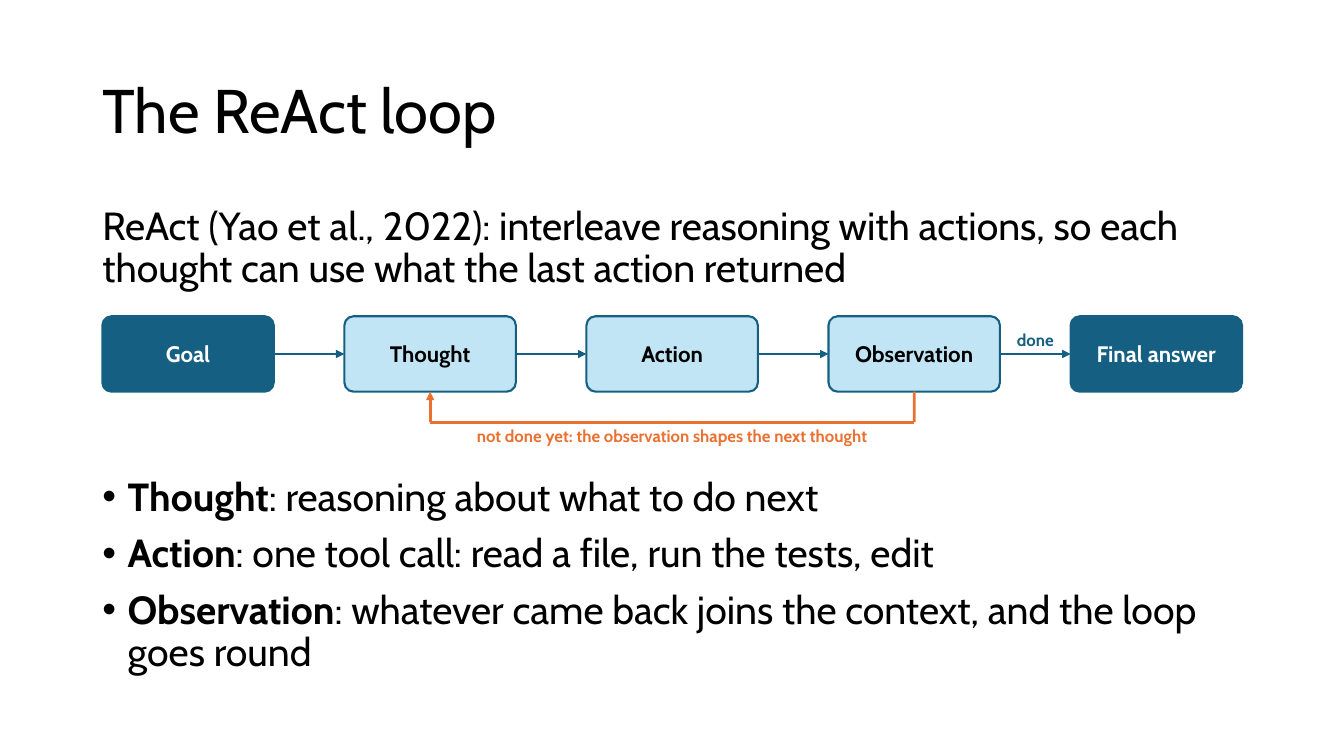
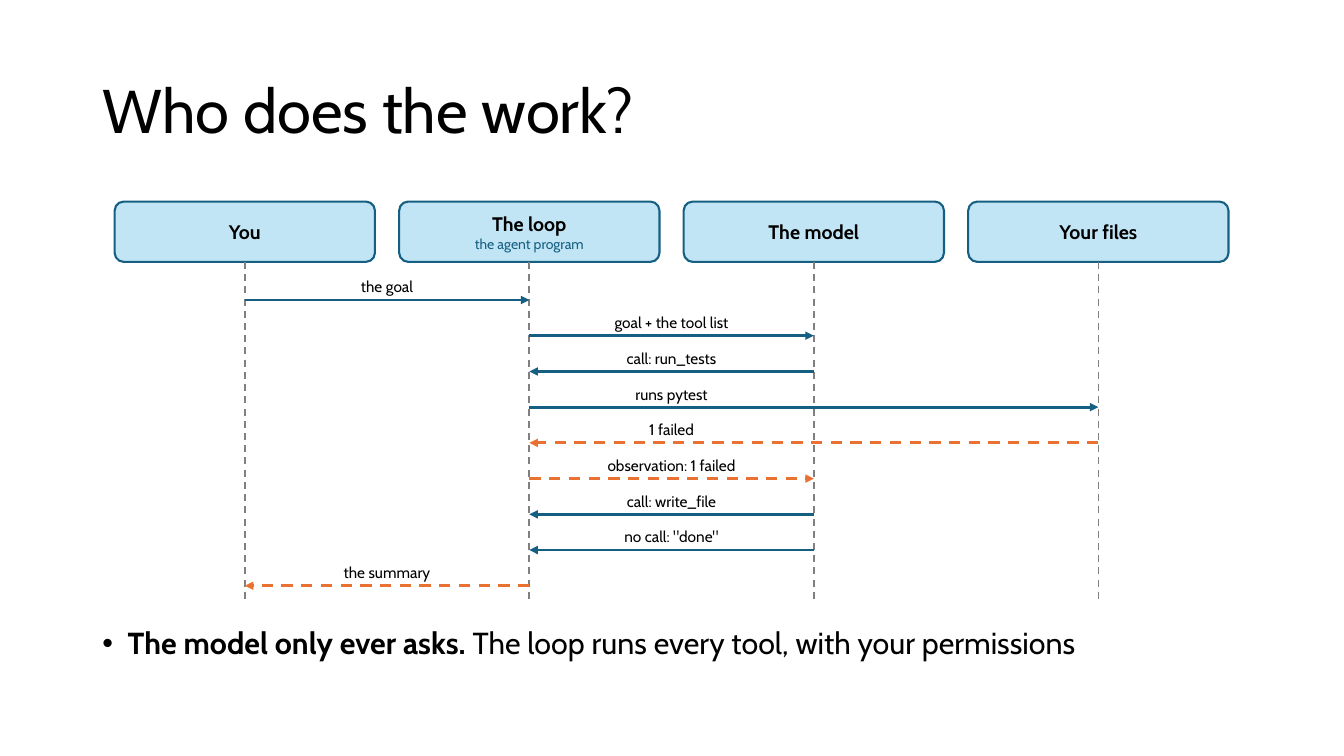
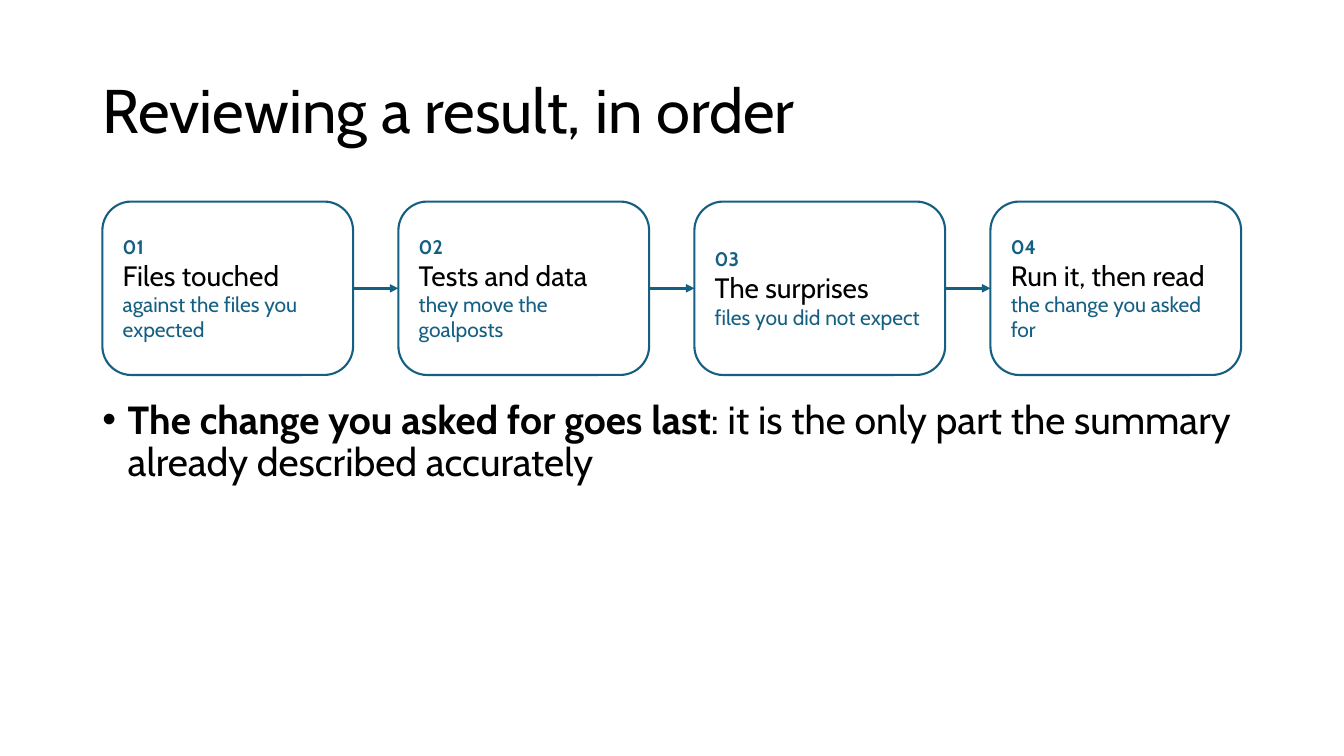
from dataclasses import dataclass

from lxml.etree import SubElement
from pptx import Presentation
from pptx.dml.color import RGBColor as RGB
from pptx.enum.dml import MSO_LINE as Dash
from pptx.enum.shapes import MSO_CONNECTOR as Conn, MSO_SHAPE as Form
from pptx.enum.text import MSO_ANCHOR as Anchor, PP_ALIGN as Align
from pptx.oxml.ns import qn
from pptx.util import Cm, Pt


@dataclass(frozen=True)
class Theme:
    font: str = "Cabin"
    dot: str = "Arial"
    ink: RGB = RGB(0, 0, 0)
    paper: RGB = RGB(255, 255, 255)
    teal: RGB = RGB.from_string("156082")
    sky: RGB = RGB.from_string("C1E5F5")
    flame: RGB = RGB.from_string("E97132")
    gray: RGB = RGB.from_string("808080")
    title: float = 44
    body: float = 28
    point: float = 21.7
    head: float = 20
    node: float = 16
    note: float = 15
    actor: float = 14
    label: float = 12
    call: float = 11
    role: float = 10


look = Theme()
edge, wide, top = 2.33, 29.21, 5.08
left = 2.58

prose = dict(line_spacing=0.9, space_before=Pt(10))
mid = dict(alignment=Align.CENTER)
plain = dict(vertical_anchor=Anchor.TOP)
centre = dict(vertical_anchor=Anchor.MIDDLE)
snug = dict(margin_left=Cm(0.08), margin_right=Cm(0.08), margin_top=0, margin_bottom=0)
above = dict(snug, vertical_anchor=Anchor.BOTTOM)
card = dict(centre, margin_left=Cm(0.3), margin_right=Cm(0.3),
            margin_top=Cm(0.15), margin_bottom=Cm(0.15))


def put(page, spot, paras, frame=plain, form=mid, fill=None, bend=None, bullet=False):
    """Add a text box, or a rounded box if fill is given; a run is (text, size, colour, bold)."""
    spot = [Cm(v) for v in spot]
    if fill is None:
        box = page.shapes.add_textbox(*spot)
    else:
        box = page.shapes.add_shape(Form.ROUNDED_RECTANGLE, *spot)
        box.shadow.inherit = False
        box.fill.solid()
        box.fill.fore_color.rgb = fill
        box.line.color.rgb = look.teal
        box.line.width = Pt(1.5)
        if bend:
            box.adjustments[0] = bend
    text = box.text_frame
    for key, val in dict(frame, word_wrap=True).items():
        setattr(text, key, val)
    for i, runs in enumerate(paras):
        para = text.add_paragraph() if i else text.paragraphs[0]
        if bullet:
            props = para._p.get_or_add_pPr()
            props.set("marL", str(Cm(0.64)))
            props.set("indent", str(-Cm(0.64)))
            SubElement(props, qn("a:buFont")).set("typeface", look.dot)
            SubElement(props, qn("a:buChar")).set("char", "•")
        for key, val in form.items():
            if i or key != "space_before":
                setattr(para, key, val)
        for words, size, tint, bold in runs:
            run = para.add_run()
            run.text = words
            for key, val in dict(name=look.font, size=Pt(size), bold=bold).items():
                setattr(run.font, key, val)
            run.font.color.rgb = tint
    return box


def link(page, start, end, tint=look.teal, width=2, dash=None, arrow=True):
    line = page.shapes.add_connector(Conn.STRAIGHT, *[Cm(v) for v in (*start, *end)])
    line.line.color.rgb = tint
    line.line.width = Pt(width)
    if dash:
        line.line.dash_style = dash
    props = line.element.spPr
    if arrow:
        SubElement(props.find(qn("a:ln")), qn("a:tailEnd")).set("type", "triangle")
    SubElement(props, qn("a:effectLst"))
    return line


deck = Presentation()
deck.slide_width, deck.slide_height = Cm(33.87), Cm(19.05)

pages = []
for name in ("The ReAct loop", "Who does the work?", "Reviewing a result, in order"):
    page = deck.slides.add_slide(deck.slide_layouts[6])
    put(page, (edge, 1.01, wide, 3.68), [[(name, look.title, look.ink, False)]],
        centre, dict(line_spacing=0.9))
    pages.append(page)
loop, work, review = pages

# Bulleted text: page, top, height, size, (bold start, rest)
for page, y, high, size, points in (
    (loop, 11.91, 5.26, look.body, [
        ("Thought", ": reasoning about what to do next"),
        ("Action", ": one tool call: read a file, run the tests, edit"),
        ("Observation", ": whatever came back joins the context, and the loop goes round")]),
    (work, 15.7, 1.47, look.point, [
        ("The model only ever asks.", " The loop runs every tool, with your permissions")]),
    (review, 9.96, 7.21, look.body, [
        ("The change you asked for goes last",
         ": it is the only part the summary already described accurately")]),
):
    put(page, (edge, y, wide, high),
        [[(lead, size, look.ink, True), (rest, size, look.ink, False)] for lead, rest in points],
        form=prose, bullet=True)

# The ReAct loop
put(loop, (edge, top, wide, 2.39),
    [[("ReAct (Yao et al., 2022): interleave reasoning with actions, so each thought "
       "can use what the last action returned", look.body, look.ink, False)]], form=prose)
y, w, h, step = 7.97, 4.32, 1.9, 6.1
gap = step - w
nodes = []
for i, name in enumerate(("Goal", "Thought", "Action", "Observation", "Final answer")):
    x = left + i * step
    fill, tint = (look.teal, look.paper) if i in (0, 4) else (look.sky, look.ink)
    nodes.append(put(loop, (x, y, w, h), [[(name, look.node, tint, True)]],
                     centre, fill=fill, bend=0.12))
    if i:
        line = link(loop, (x - gap, y + h / 2), (x, y + h / 2))
        line.begin_connect(nodes[i - 1], 3)
        line.end_connect(nodes[i], 1)
put(loop, (x - gap, 8.15, gap, 0.66), [[("done", look.label, look.teal, True)]], above)

back, base, low = left + step + w / 2, y + h, 10.64
far = back + 2 * step
down = link(loop, (far, base), (far, low), look.flame, arrow=False)
down.begin_connect(nodes[3], 2)
link(loop, (far, low), (back, low), look.flame, arrow=False)
rise = link(loop, (back, low), (back, base), look.flame)
rise.end_connect(nodes[1], 2)
put(loop, (back + 0.25, 10.72, far - back - 0.5, 0.66),
    [[("not done yet: the observation shapes the next thought",
       look.label, look.flame, True)]], snug)

# Who does the work?
w, h, step, axis = 6.56, 1.52, 7.17, 6.17
lanes = [axis + i * step for i in range(4)]
for x, (name, role) in zip(lanes, (("You", ""), ("The loop", "the agent program"),
                                   ("The model", ""), ("Your files", ""))):
    paras = [[(name, look.actor, look.ink, True)]]
    if role:
        paras.append([(role, look.role, look.teal, False)])
    box = put(work, (x - w / 2, top, w, h), paras, centre, fill=look.sky, bend=0.15)
    life = link(work, (x, top + h), (x, 15.19), look.gray, 1.25, Dash.DASH, False)
    life.begin_connect(box, 2)

# Messages: text, lane from, lane to, whether it is a reply.
# Each label keeps to the first gap its arrow spans, clear of the lifelines.
for i, (words, a, b, reply) in enumerate((
    ("the goal", 0, 1, False),
    ("goal + the tool list", 1, 2, False),
    ("call: run_tests", 2, 1, False),
    ("runs pytest", 1, 3, False),
    ("1 failed", 3, 1, True),
    ("observation: 1 failed", 1, 2, True),
    ("call: write_file", 2, 1, False),
    ('no call: "done"', 2, 1, False),
    ("the summary", 1, 0, True),
)):
    y = 7.56 + i * 0.9
    put(work, (lanes[min(a, b)] + 0.25, y - 0.71, step - 0.5, 0.61),
        [[(words, look.call, look.ink, False)]], above)
    tint, dash = (look.flame, Dash.DASH) if reply else (look.teal, None)
    link(work, (lanes[a], y), (lanes[b], y), tint, dash=dash)

# Reviewing a result, in order
w, h, step = 6.32, 4.37, 7.46
last = None
for i, (name, note) in enumerate((
    ("Files touched", "against the files you expected"),
    ("Tests and data", "they move the goalposts"),
    ("The surprises", "files you did not expect"),
    ("Run it, then read", "the change you asked for"),
)):
    x = left + i * step
    box = put(review, (x, top, w, h),
              [[(f"{i + 1:02}", look.actor, look.teal, True)],
               [(name, look.head, look.ink, False)],
               [(note, look.note, look.teal, False)]],
              card, dict(alignment=Align.LEFT), look.paper)
    if last:
        line = link(review, (x - step + w, top + h / 2), (x, top + h / 2))
        line.begin_connect(last, 3)
        line.end_connect(box, 1)
    last = box

deck.save("out.pptx")
